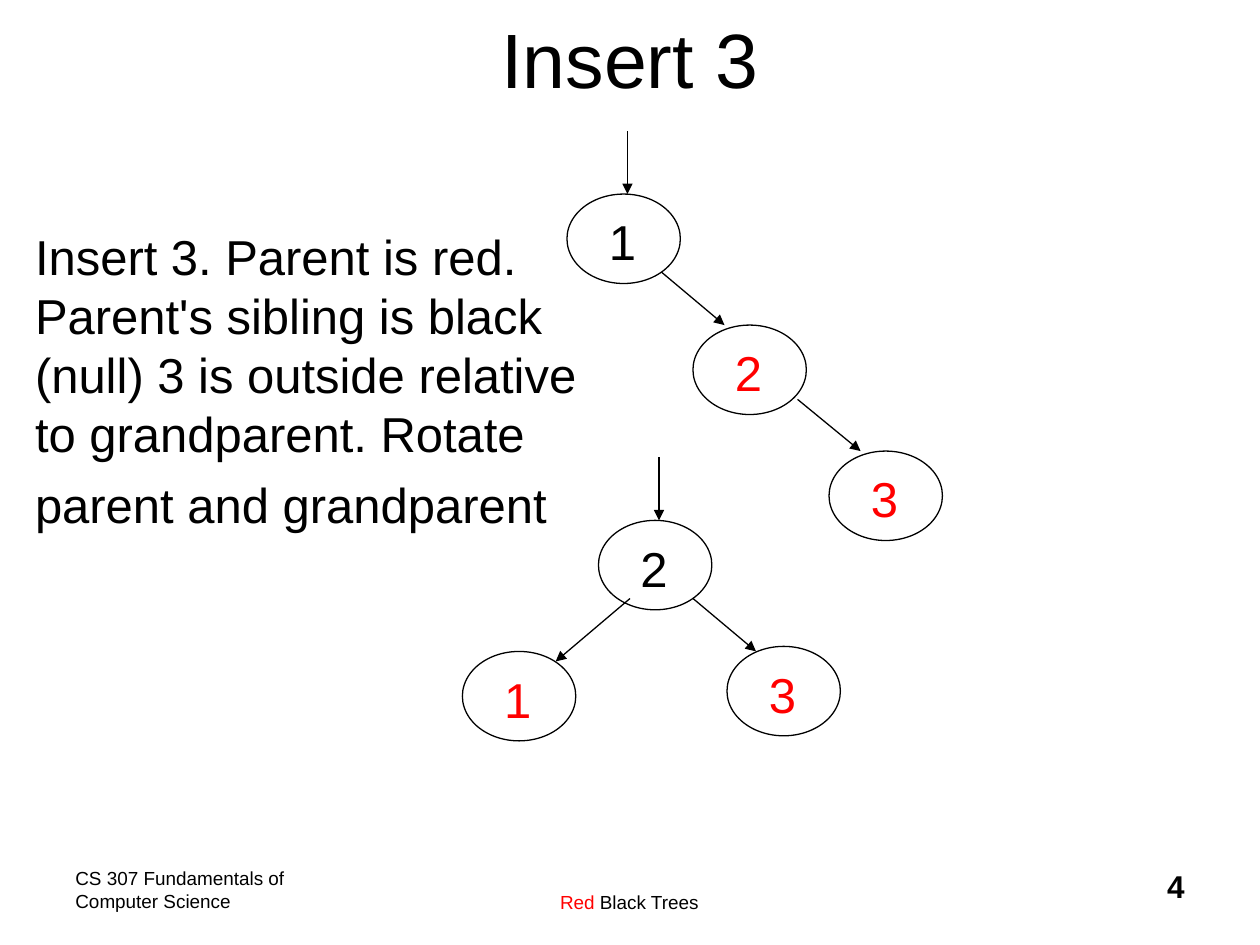
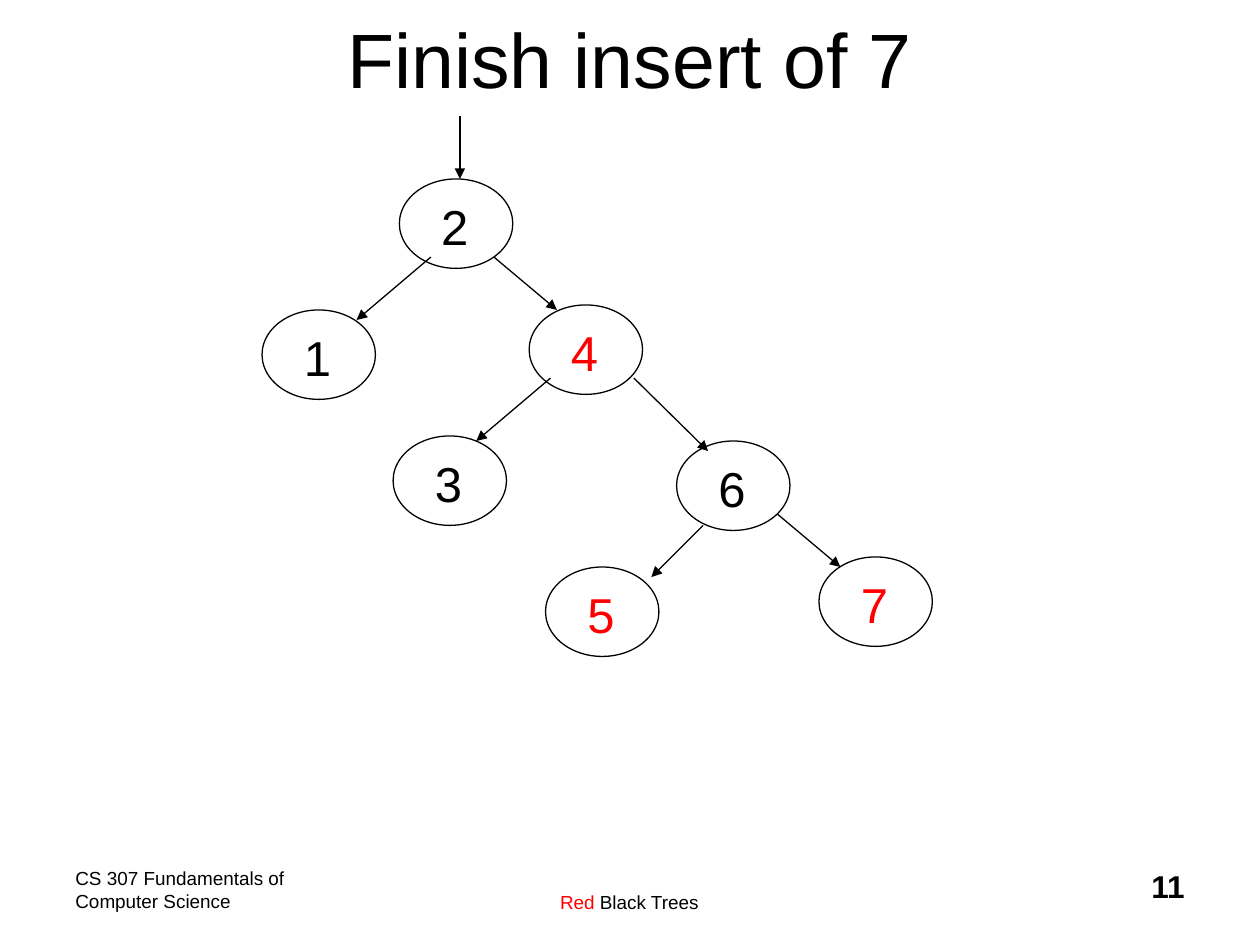
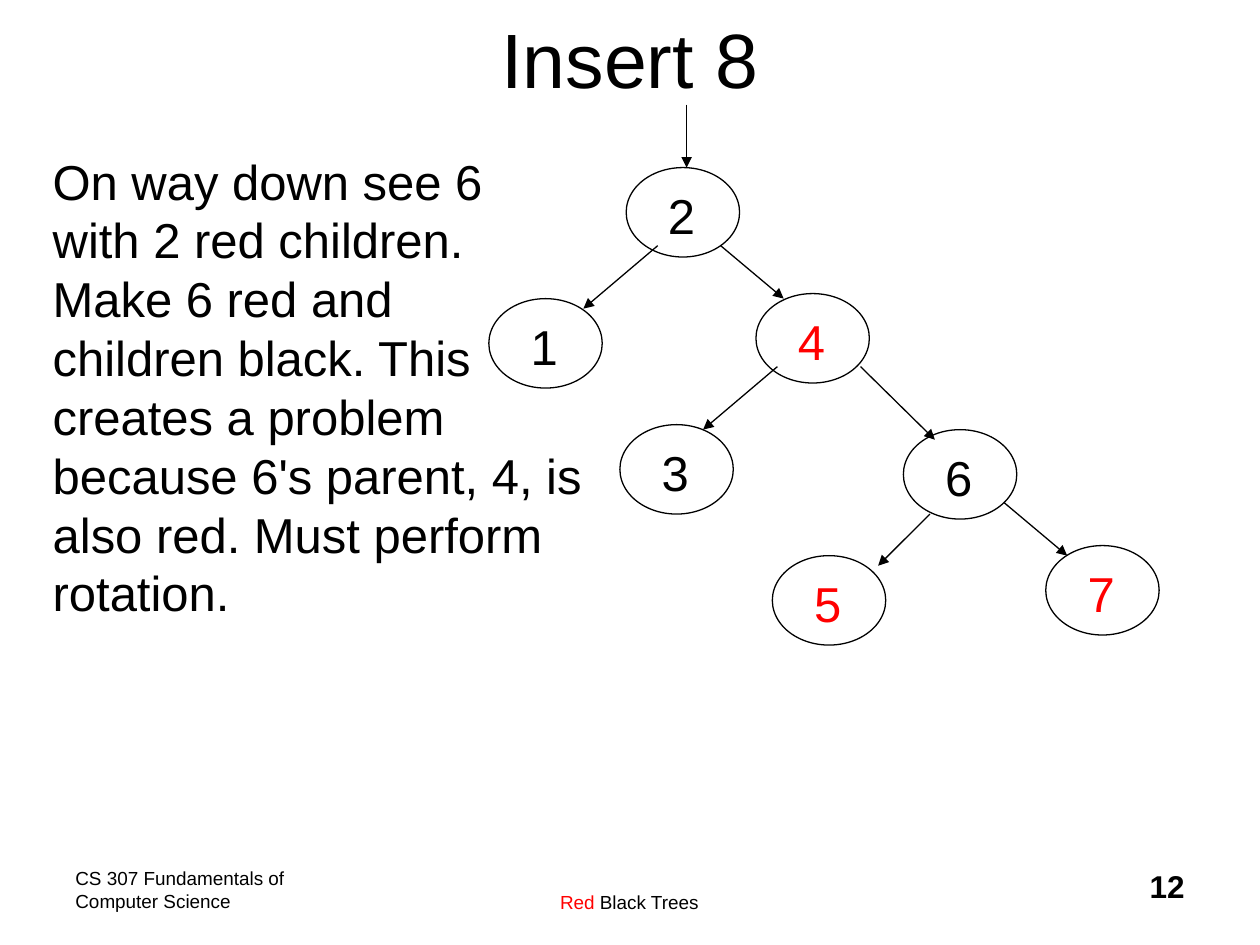
"""Build three slides on inserting nodes into red black trees."""
from lxml.etree import SubElement
from pptx import Presentation
from pptx.dml.color import RGBColor
from pptx.enum.shapes import MSO_CONNECTOR, MSO_SHAPE
from pptx.enum.text import MSO_ANCHOR, PP_ALIGN
from pptx.oxml.ns import qn
from pptx.util import Inches, Pt

BLACK, RED = "000000", "FF0000"
FONT = "Arial"
WIDE, HIGH = 0.9, 0.71
FOOT_TOP, FOOT_HIGH = 6.83, 0.5

ROOT_ARROW = (0.48, -0.5, 0.48, 0)
LEFT_ARROW = (0.25, 0.62, -0.34, 1.12)
RIGHT_ARROW = (0.75, 0.62, 1.25, 1.04)

CHAIN = [
    ("1", BLACK, 0, 0, ROOT_ARROW),
    ("2", RED, 1, 1.04, RIGHT_ARROW),
    ("3", RED, 2.08, 2.04, (1.83, 1.63, 2.33, 2.04)),
]
TURNED = [
    ("2", BLACK, 0, 0, ROOT_ARROW),
    ("1", RED, -1.08, 1.04, LEFT_ARROW),
    ("3", RED, 1.02, 1, RIGHT_ARROW),
]
SEVEN = [
    ("2", BLACK, 0, 0, ROOT_ARROW),
    ("1", BLACK, -1.09, 1.04, LEFT_ARROW),
    ("4", RED, 1.03, 1, RIGHT_ARROW),
    ("3", BLACK, -0.05, 2.04, (1.2, 1.58, 0.61, 2.08)),
    ("6", BLACK, 2.2, 2.08, (1.86, 1.58, 2.45, 2.16)),
    ("5", RED, 1.16, 3.08, (2.41, 2.75, 2, 3.16)),
    ("7", RED, 3.33, 3, (3, 2.66, 3.5, 3.08)),
]

THREE_TEXT = (
    "Insert 3. Parent is red.\vParent's sibling is black\v"
    "(null) 3 is outside relative\vto grandparent. Rotate\n"
    "parent and grandparent"
)
EIGHT_TEXT = (
    "On way down see 6\vwith 2 red children.\vMake 6 red and\v"
    "children black. This\vcreates a problem\v"
    "because 6's parent, 4, is\valso red. Must perform\vrotation."
)
SLIDES = [
    ("Insert 3", "4", [(4.5, 1.54, CHAIN), (4.75, 4.13, TURNED)],
     (0.18, 1.75, 4.6, 2.53, THREE_TEXT)),
    ("Finish insert of 7", "11", [(3.17, 1.42, SEVEN)], None),
    ("Insert 8", "12", [(4.97, 1.33, SEVEN)],
     (0.32, 1.15, 4.5, 3.84, EIGHT_TEXT)),
]


def paint(hue):
    """Turn a hex string into a colour."""
    return RGBColor.from_string(hue)


def write(shape, text, size, hue=BLACK, align=PP_ALIGN.LEFT, bold=False, wrap=True):
    """Fill a shape with styled text and return its frame."""
    frame = shape.text_frame
    frame.text = text
    frame.word_wrap = wrap
    for num, par in enumerate(frame.paragraphs):
        par.alignment = align
        par.space_before = Pt(7 if num else 0)
        for run in par.runs:
            run.font.name = FONT
            run.font.size = Pt(size)
            run.font.bold = bold
            run.font.color.rgb = paint(hue)
    return frame


deck = Presentation()
deck.slide_width, deck.slide_height = Inches(10), Inches(7.5)

for name, page, trees, note in SLIDES:
    slide = deck.slides.add_slide(deck.slide_layouts[5])
    shapes = slide.shapes

    title = shapes.title
    title.left, title.top = Inches(0.75), Inches(-0.17)
    title.width, title.height = Inches(8.5), Inches(1.25)
    frame = write(title, name, 44, align=PP_ALIGN.CENTER)
    frame.vertical_anchor = MSO_ANCHOR.MIDDLE

    for left, width, text, size, align, bold in [
        (0.5, 2.5, "CS 307 Fundamentals of Computer Science", 10.8, PP_ALIGN.LEFT, False),
        (3.08, 3.83, "Red", 10.8, PP_ALIGN.CENTER, False),
        (7.42, 2.08, page, 18, PP_ALIGN.RIGHT, True),
    ]:
        box = shapes.add_textbox(
            Inches(left), Inches(FOOT_TOP), Inches(width), Inches(FOOT_HIGH))
        frame = write(box, text, size, align=align, bold=bold)
        if align == PP_ALIGN.CENTER:
            frame.vertical_anchor = MSO_ANCHOR.BOTTOM
            frame.margin_bottom = Inches(0.08)
            par = frame.paragraphs[0]
            par.runs[0].font.color.rgb = paint(RED)
            tail = par.add_run()
            tail.text = " Black Trees"
            tail.font.name = FONT
            tail.font.size = Pt(size)
            tail.font.color.rgb = paint(BLACK)

    for left, top, nodes in trees:
        for label, hue, right, down, ends in nodes:
            node = shapes.add_shape(
                MSO_SHAPE.OVAL, Inches(left + right), Inches(top + down),
                Inches(WIDE), Inches(HIGH))
            node.shadow.inherit = False
            node.fill.background()
            node.line.color.rgb = paint(BLACK)
            node.line.width = Pt(0.75)
            frame = write(node, label, 28, hue, PP_ALIGN.CENTER, wrap=False)
            frame.vertical_anchor = MSO_ANCHOR.MIDDLE
            frame.margin_left = frame.margin_bottom = 0
            frame.margin_right = Inches(0.02)
            frame.margin_top = Inches(0.04)

            x1, y1, x2, y2 = ends
            arrow = shapes.add_connector(
                MSO_CONNECTOR.STRAIGHT, Inches(left + x1), Inches(top + y1),
                Inches(left + x2), Inches(top + y2))
            arrow.line.color.rgb = paint(BLACK)
            arrow.line.width = Pt(0.75)
            SubElement(arrow.line._get_or_add_ln(), qn("a:tailEnd"), type="triangle")
            SubElement(arrow._element.spPr, qn("a:effectLst"))

    if note:
        *area, text = note
        box = shapes.add_textbox(*map(Inches, area))
        write(box, text, 28, wrap=False)

deck.save("out.pptx")
